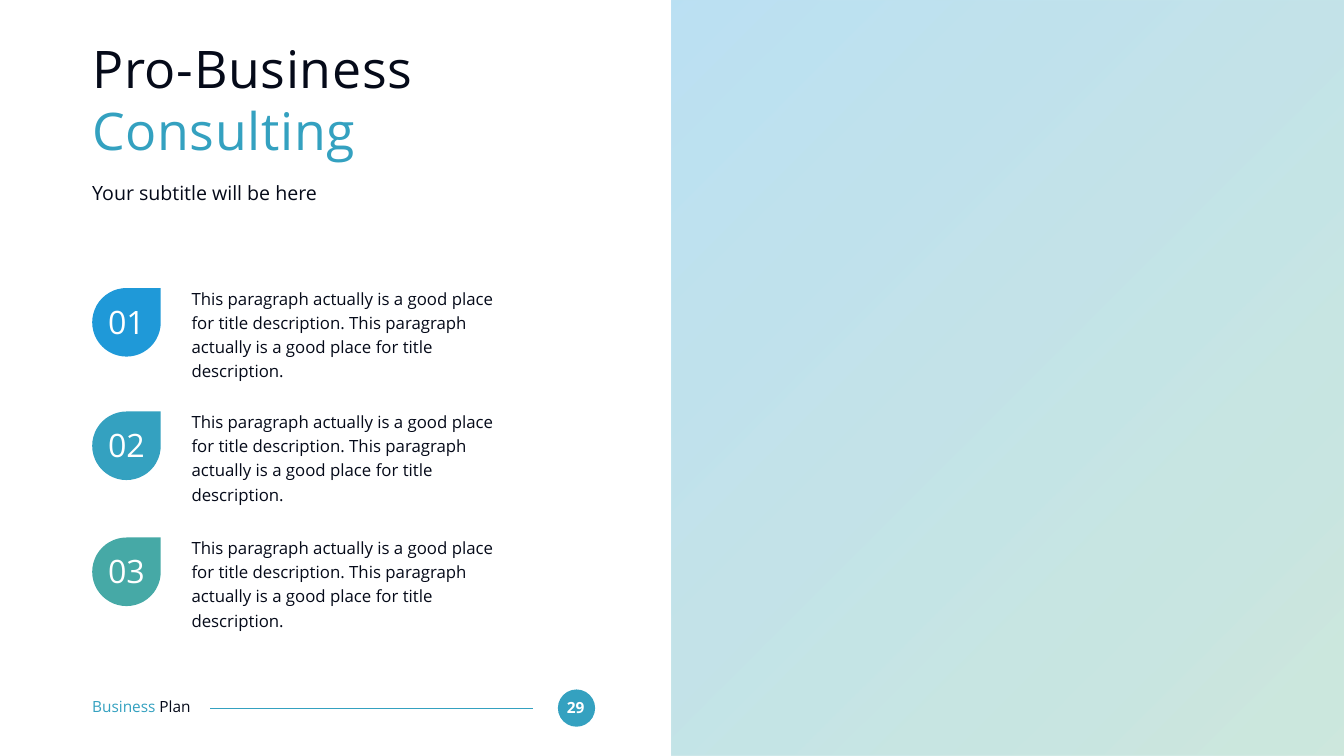
from lxml import etree
from pptx import Presentation
from pptx import util as u
from pptx.dml import color
from pptx.enum import shapes, text
from pptx.oxml import ns

WIDTH, HEIGHT = u.Inches(26.67), u.Inches(15)
FONT = "Open Sans"
INK, WHITE, TEAL = "050A19", "FFFFFF", "34A1C0"
MARGIN = 6.86
DESCRIPTION = "This paragraph actually is a good place for title description. " * 2
STEPS = [("01", 37.6, "1F99D8"), ("02", 53.93, TEAL), ("03", 70.6, "46A9A6")]
PANEL_STOPS = [(0, "1F99D8"), (33, TEAL), (66, "46A9A6"), (100, "5BB18E")]


def rgb(value):
    """Turn a hex string into a colour."""
    return color.RGBColor.from_string(value)


def share(left, top, width, height):
    """Turn percentages of the slide's size into lengths."""
    return (round(WIDTH * left / 100), round(HEIGHT * top / 100),
            round(WIDTH * width / 100), round(HEIGHT * height / 100))


def write(frame, runs, size, align=text.PP_ALIGN.LEFT, bold=False, leading=1.0, tracking=0):
    """Fill a frame with one paragraph of (words, colour) runs."""
    frame.word_wrap = True
    frame.margin_left = frame.margin_right = frame.margin_top = frame.margin_bottom = 0
    frame.vertical_anchor = text.MSO_ANCHOR.TOP
    paragraph = frame.paragraphs[0]
    paragraph.alignment, paragraph.line_spacing = align, leading
    paragraph.space_before = u.Pt(0)
    for words, shade in runs:
        run = paragraph.add_run()
        run.text = words
        run.font.name, run.font.size, run.font.bold = FONT, u.Pt(size), bold
        run.font.color.rgb = rgb(shade)
        if tracking:
            run.font._element.set("spc", str(tracking * 100))
    return paragraph


def add_label(slide, area, runs, size, **style):
    """Add a text box that grows with its text."""
    frame = slide.shapes.add_textbox(*share(*area)).text_frame
    write(frame, runs, size, **style)
    frame.auto_size = text.MSO_AUTO_SIZE.SHAPE_TO_FIT_TEXT


def add_figure(slide, kind, area, shade=None):
    """Add a preset shape without outline or shadow."""
    figure = slide.shapes.add_shape(kind, *share(*area))
    figure.shadow.inherit = False
    figure.line.fill.background()
    if shade:
        figure.fill.solid()
        figure.fill.fore_color.rgb = rgb(shade)
    return figure


def add_panel(slide):
    """Add the translucent gradient over the right half."""
    panel = add_figure(slide, shapes.MSO_SHAPE.RECTANGLE, (50, 0, 50, 100))
    panel.fill.gradient()
    panel.fill.gradient_angle = 315
    stops = panel._element.spPr.find(".//" + ns.qn("a:gsLst"))
    stops.clear()
    for position, shade in PANEL_STOPS:
        stop = etree.SubElement(stops, ns.qn("a:gs"), pos=str(position * 1000))
        tint = etree.SubElement(stop, ns.qn("a:srgbClr"), val=shade)
        etree.SubElement(tint, ns.qn("a:alpha"), val="30000")


def add_footer(slide):
    """Add the page number, rule and plan name."""
    add_figure(slide, shapes.MSO_SHAPE.OVAL, (41.51, 91.2, 2.77, 4.93), TEAL)
    add_label(slide, (41.73, 92.33, 2.21, 2.47), [("29", WHITE)], 22,
              align=text.PP_ALIGN.CENTER, bold=True)
    start, level, end, _ = share(39.63, 93.67, 15.6, 0)
    rule = slide.shapes.add_connector(shapes.MSO_CONNECTOR.STRAIGHT, start, level, end, level)
    rule.line.color.rgb, rule.line.width = rgb(TEAL), u.Pt(1.5)
    etree.SubElement(rule._element.spPr, ns.qn("a:effectLst"))
    add_label(slide, (MARGIN, 92.27, 9.71, 2.47), [("Business ", TEAL), ("Plan", INK)], 22)


def add_heading(slide):
    """Fill the title and subtitle placeholders."""
    title, subtitle = slide.shapes.title, slide.placeholders[1]
    title.left, title.top, title.width, title.height = share(MARGIN, 4.87, 37.12, 16.8)
    write(title.text_frame, [("Pro-Business ", INK), ("Consulting", TEAL)], 74, tracking=1)
    subtitle.left, subtitle.top, subtitle.width, subtitle.height = share(MARGIN, 23.93, 37.12, 3.27)
    paragraph = write(subtitle.text_frame, [("Your subtitle will be here", INK)], 28)
    properties = paragraph._p.get_or_add_pPr()
    properties.set("marL", "0")
    properties.set("indent", "0")
    etree.SubElement(properties, ns.qn("a:buNone"))


def add_step(slide, number, top, shade):
    """Add a numbered drop and its description."""
    add_label(slide, (14.25, top, 23.55, 9.47), [(DESCRIPTION.strip(), INK)], 24, leading=1.2)
    add_figure(slide, shapes.MSO_SHAPE.TEAR, (MARGIN, top + 0.5, 5.1, 9.07), shade)
    add_label(slide, (7.35, top + 2.33, 4.12, 5.13), [(number, WHITE)], 46,
              align=text.PP_ALIGN.CENTER)


def main():
    """Build and save the slide."""
    deck = Presentation()
    deck.slide_width, deck.slide_height = WIDTH, HEIGHT
    slide = deck.slides.add_slide(deck.slide_layouts[1])
    add_footer(slide)
    add_panel(slide)
    add_heading(slide)
    for step in STEPS:
        add_step(slide, *step)
    deck.save("out.pptx")


if __name__ == "__main__":
    main()
